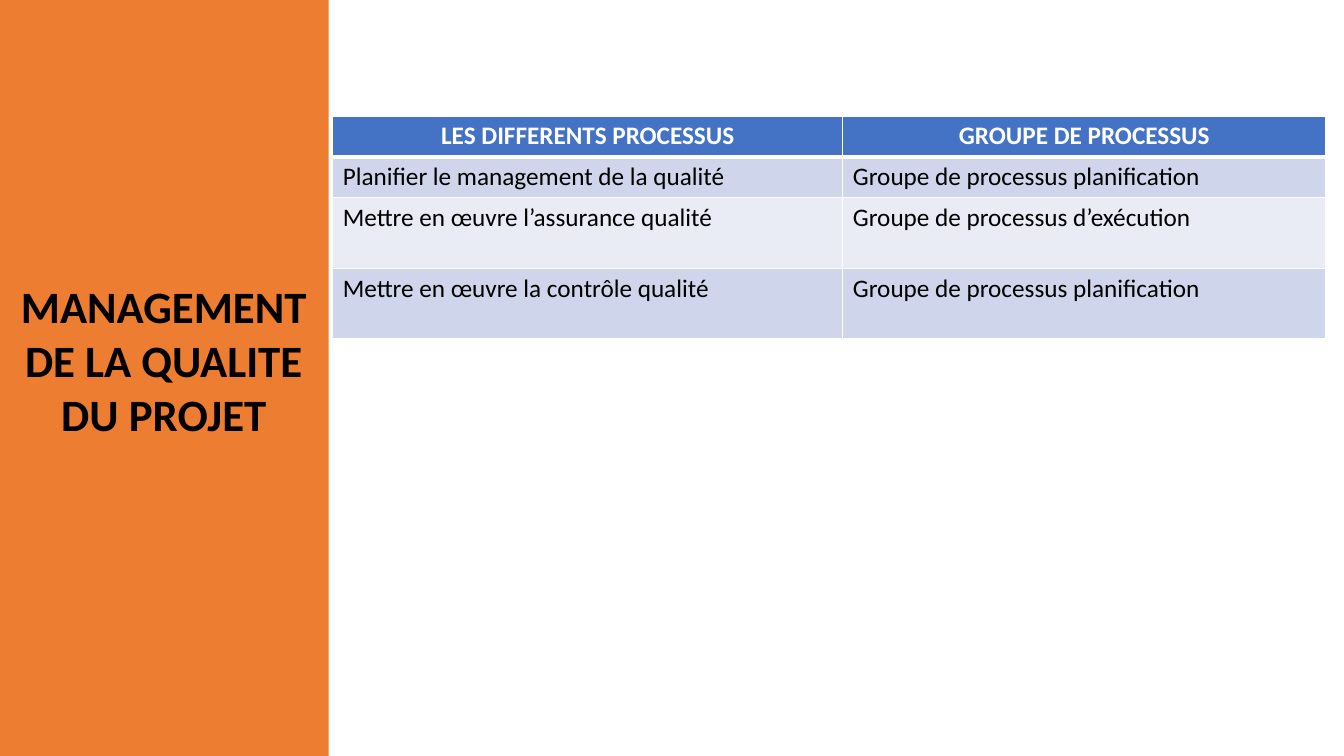
from lxml import etree
from pptx import Presentation
from pptx.dml.color import RGBColor
from pptx.enum.shapes import MSO_SHAPE
from pptx.enum.text import MSO_ANCHOR, PP_ALIGN
from pptx.oxml.ns import qn
from pptx.util import Inches, Pt

CENTER, LEFT = PP_ALIGN.CENTER, PP_ALIGN.LEFT
MIDDLE = MSO_ANCHOR.MIDDLE
RECTANGLE = MSO_SHAPE.RECTANGLE

COLORS = {
    "panel": "ED7D31",
    "header": "4472C4",
    "odd_row": "CFD5EA",
    "even_row": "E9EBF5",
    "white": "FFFFFF",
    "black": "000000",
}


def write_text(frame, text, size=18, color="black", bold=False, align=LEFT):
    para = frame.paragraphs[0]
    para.alignment = align
    span = para.add_run()
    span.text = text
    span.font.name = "Calibri"
    span.font.size = Pt(size)
    span.font.bold = bold
    span.font.color.rgb = RGBColor.from_string(COLORS[color])


def add_border(cell, side, width):
    line = etree.SubElement(cell._tc.get_or_add_tcPr(), qn(f"a:ln{side}"), w=str(Pt(width)))
    fill = etree.SubElement(line, qn("a:solidFill"))
    etree.SubElement(fill, qn("a:srgbClr"), val=COLORS["white"])


deck = Presentation()
deck.slide_width = Inches(13.33)
deck.slide_height = Inches(7.5)
page = deck.slides.add_slide(deck.slide_layouts[5])

# Side panel, placed behind the title
panel = page.shapes.add_shape(RECTANGLE, 0, 0, Inches(3.26), deck.slide_height)
panel.shadow.inherit = False
panel.fill.solid()
panel.fill.fore_color.rgb = RGBColor.from_string(COLORS["panel"])
panel.line.fill.background()

title = page.shapes.title
title.element.addprevious(panel.element)
title.left, title.top = Inches(-0.05), Inches(2.71)
title.width, title.height = Inches(3.35), Inches(1.72)
title.text_frame.word_wrap = True
title.text_frame.vertical_anchor = MIDDLE
write_text(title.text_frame, "MANAGEMENT DE LA QUALITE DU PROJET", size=32, bold=True, align=CENTER)

# Table of processes
rows = [
    ("LES DIFFERENTS PROCESSUS", "GROUPE DE PROCESSUS"),
    ("Planifier le management de la qualité", "Groupe de processus planification"),
    ("Mettre en œuvre l’assurance qualité", "Groupe de processus d’exécution"),
    ("Mettre en œuvre la contrôle qualité", "Groupe de processus planification"),
]
column_widths = [5.06, 4.79]
row_heights = [0.4, 0.4, 0.7, 0.7]
table = page.shapes.add_table(
    len(rows), len(column_widths), Inches(3.3), Inches(1.15),
    Inches(sum(column_widths)), Inches(sum(row_heights)),
).table
for column, width in zip(table.columns, column_widths):
    column.width = Inches(width)

for row_index, texts in enumerate(rows):
    table.rows[row_index].height = Inches(row_heights[row_index])
    is_header = row_index == 0
    row_color = "header" if is_header else "odd_row" if row_index % 2 else "even_row"
    for column_index, text in enumerate(texts):
        cell = table.cell(row_index, column_index)
        for side in "LRTB":
            at_header_edge = (is_header and side == "B") or (row_index == 1 and side == "T")
            add_border(cell, side, 3 if at_header_edge else 1)
        cell.fill.solid()
        cell.fill.fore_color.rgb = RGBColor.from_string(COLORS[row_color])
        write_text(cell.text_frame, text, bold=is_header,
                   color="white" if is_header else "black",
                   align=CENTER if is_header else LEFT)

deck.save("out.pptx")
